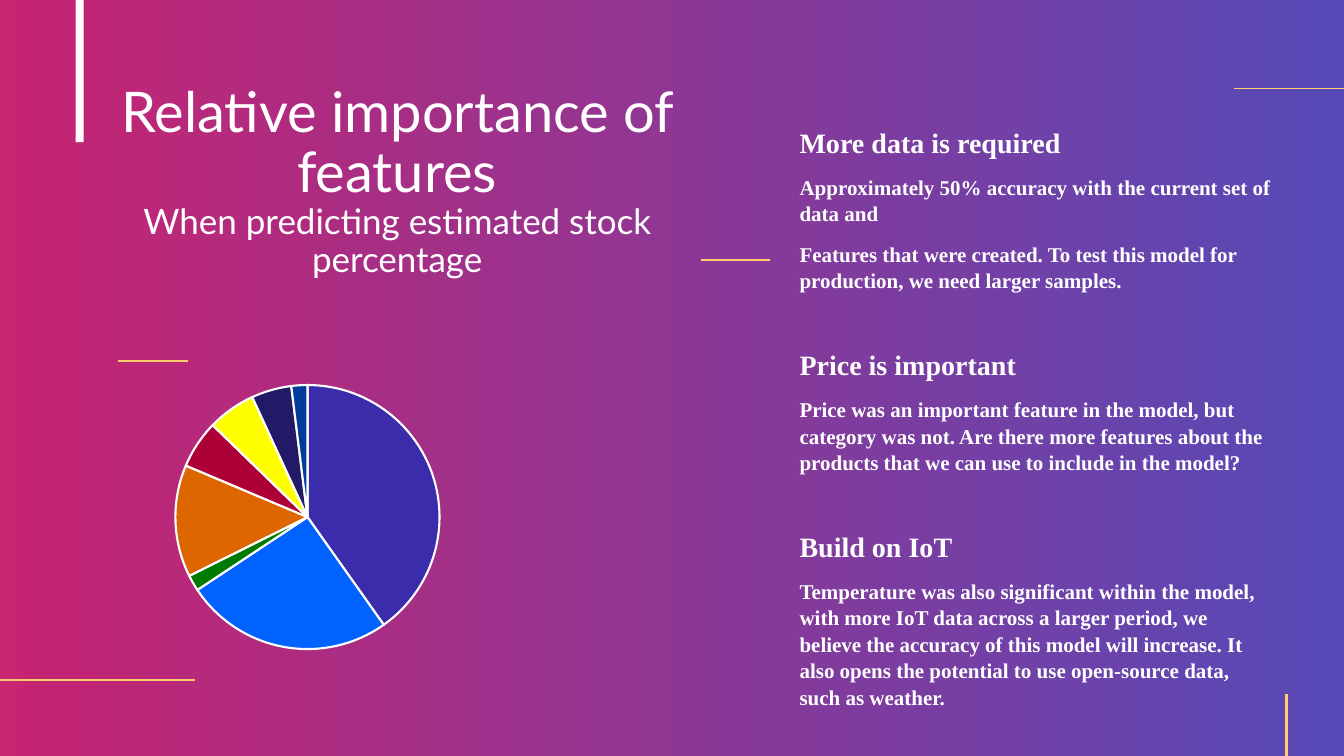
import lxml.etree
import pptx
import pptx.chart.data
import pptx.dml.color
import pptx.enum.chart
import pptx.enum.shapes
import pptx.enum.text
import pptx.oxml.ns
import pptx.util
from dataclasses import dataclass

Inches = pptx.util.Inches
Pt = pptx.util.Pt
qn = pptx.oxml.ns.qn

HEADLINE = "Relative importance of features"
SUBHEADING = "When predicting estimated stock percentage"
FINDINGS = [
    ("More data is required", [
        "Approximately 50% accuracy with the current set of data and",
        "Features that were created. To test this model for production, "
        "we need larger samples.",
    ]),
    ("Price is important", [
        "Price was an important feature in the model, but category was not. "
        "Are there more features about the products that we can use to "
        "include in the model?",
    ]),
    ("Build on IoT", [
        "Temperature was also significant within the model, with more IoT data "
        "across a larger period, we believe the accuracy of this model will "
        "increase. It also opens the potential to use open-source data, such "
        "as weather.",
    ]),
]
# feature, importance, slice colour
FEATURES = [
    ("1", 41, "3B2CAC"), ("2", 26, "0062FF"), ("3", 2, "007A00"),
    ("4", 14, "DE6600"), ("5", 6, "AC0037"), ("6", 6, "FFFF00"),
    ("7", 5, "231A67"), ("8", 2, "003B99"),
]
# start x, start y, end x, end y, width in points
ACCENT_LINES = [
    (1.17, 3.58, 1.86, 3.58, 1.5),
    (6.95, 2.58, 7.64, 2.58, 1.5),
    (12.24, 0.88, 13.33, 0.88, 0.5),
    (0, 6.75, 1.93, 6.75, 1.5),
    (12.76, 7.5, 12.76, 6.89, 1.5),
]
SLIDE_SIZE = (13.33, 7.5)
CHART_BOX = (0.28, 3.68, 5.54, 2.9)
PIE_DIAMETER = 2.62


@dataclass(frozen=True)
class Theme:
    gradient: tuple = ("BE005A", "3B2CAC")
    gradient_alpha: int = 85
    text: str = "FFFFFF"
    accent: str = "FFCD6B"
    chart_text: str = "000000"
    shadow: str = "000000"
    title_font: str = "Lato"
    body_font: str = "Times New Roman"
    headline_size: int = 40
    subheading_size: int = 25
    finding_size: int = 20
    detail_size: int = 15
    chart_size: int = 10


THEME = Theme()


def rgb(value):
    return pptx.dml.color.RGBColor.from_string(value)


def place(shape, left, top, width, height):
    shape.left, shape.top = Inches(left), Inches(top)
    shape.width, shape.height = Inches(width), Inches(height)


def style_run(run, font, size, bold=False):
    run.font.name, run.font.size, run.font.bold = font, Pt(size), bold
    run.font.color.rgb = rgb(THEME.text)


def add_text_shadow(run):
    effects = lxml.etree.Element(qn("a:effectLst"))
    shadow = lxml.etree.SubElement(
        effects, qn("a:outerShdw"), blurRad="38100", dist="38100",
        dir="2700000", algn="tl")
    color = lxml.etree.SubElement(shadow, qn("a:srgbClr"), val=THEME.shadow)
    lxml.etree.SubElement(color, qn("a:alpha"), val="43000")
    run.font._element.find(qn("a:solidFill")).addnext(effects)


def add_rectangle(slide, *box):
    rectangle = slide.shapes.add_shape(
        pptx.enum.shapes.MSO_SHAPE.RECTANGLE, *map(Inches, box))
    rectangle.shadow.inherit = False
    rectangle.line.fill.background()
    return rectangle


def add_backdrop(slide):
    """Lay the translucent gradient behind the placeholders."""
    backdrop = add_rectangle(slide, 0, 0, *SLIDE_SIZE)
    backdrop.fill.gradient()
    backdrop.fill.gradient_angle = 0
    for stop, color in zip(backdrop.fill.gradient_stops, THEME.gradient):
        stop.color.rgb = rgb(color)
    for color in backdrop._element.iter(qn("a:srgbClr")):
        lxml.etree.SubElement(
            color, qn("a:alpha"), val=str(THEME.gradient_alpha * 1000))
    slide.shapes._spTree.insert(2, backdrop._element)


def add_accents(slide):
    bar = add_rectangle(slide, 0.75, 0, 0.08, 1.41)
    bar.fill.solid()
    bar.fill.fore_color.rgb = rgb(THEME.text)
    for *ends, width in ACCENT_LINES:
        accent = slide.shapes.add_connector(
            pptx.enum.shapes.MSO_CONNECTOR.STRAIGHT, *map(Inches, ends))
        accent.line.color.rgb = rgb(THEME.accent)
        accent.line.width = Pt(width)
        lxml.etree.SubElement(accent._element.spPr, qn("a:effectLst"))


def fill_title(title):
    place(title, 0.82, 1.31, 6.24, 0.99)
    frame = title.text_frame
    frame.text = f"{HEADLINE}\v{SUBHEADING}"
    frame.word_wrap = True
    frame.auto_size = pptx.enum.text.MSO_AUTO_SIZE.NONE
    frame.vertical_anchor = pptx.enum.text.MSO_ANCHOR.MIDDLE
    heading = frame.paragraphs[0]
    heading.alignment = pptx.enum.text.PP_ALIGN.CENTER
    heading.line_spacing = 0.9
    sizes = (THEME.headline_size, THEME.subheading_size)
    for run, size in zip(heading.runs, sizes):
        style_run(run, THEME.title_font, size)
        add_text_shadow(run)


def fill_findings(body):
    place(body, 7.83, 1.23, 4.89, 6.6)
    frame = body.text_frame
    frame.word_wrap = True
    frame.auto_size = pptx.enum.text.MSO_AUTO_SIZE.NONE
    frame.vertical_anchor = pptx.enum.text.MSO_ANCHOR.TOP
    lines = []
    for finding, details in FINDINGS:
        lines.append((finding, THEME.finding_size, 38 if lines else 0))
        lines += [(detail, THEME.detail_size, 10) for detail in details]
    for index, (text, size, space_before) in enumerate(lines):
        paragraph = frame.add_paragraph() if index else frame.paragraphs[0]
        paragraph.text = text
        properties = paragraph._p.get_or_add_pPr()
        properties.set("marL", "0")
        properties.set("indent", "0")
        lxml.etree.SubElement(properties, qn("a:buNone"))
        paragraph.alignment = pptx.enum.text.PP_ALIGN.LEFT
        paragraph.space_before = Pt(space_before)
        paragraph.space_after = Pt(0)
        paragraph.line_spacing = 1.05 if index else 0.9
        style_run(paragraph.runs[0], THEME.body_font, size, bold=True)


def set_pie_area(chart):
    """Center a pie of the wanted diameter in its chart box."""
    width, height = (PIE_DIAMETER / side for side in CHART_BOX[2:])
    plot_area = chart._chartSpace.chart.plotArea
    for old_layout in plot_area.findall(qn("c:layout")):
        plot_area.remove(old_layout)
    layout = lxml.etree.Element(qn("c:layout"))
    manual = lxml.etree.SubElement(layout, qn("c:manualLayout"))
    settings = {
        "layoutTarget": "inner", "xMode": "edge", "yMode": "edge",
        "x": (1 - width) / 2, "y": (1 - height) / 2, "w": width, "h": height,
    }
    for name, value in settings.items():
        lxml.etree.SubElement(manual, qn(f"c:{name}"), val=str(value))
    plot_area.insert(0, layout)


def add_importance_pie(slide):
    names, values, colors = zip(*FEATURES)
    importance = pptx.chart.data.CategoryChartData()
    importance.categories = names
    importance.add_series("Series 1", values)
    chart = slide.shapes.add_chart(
        pptx.enum.chart.XL_CHART_TYPE.PIE, *map(Inches, CHART_BOX),
        importance).chart
    chart.has_title = False
    chart.has_legend = False
    chart.font.name = THEME.title_font
    chart.font.size = Pt(THEME.chart_size)
    chart.font.color.rgb = rgb(THEME.chart_text)
    chart.plots[0].vary_by_categories = True
    for index, color in enumerate(colors):
        feature = chart.plots[0].series[0].points[index].format
        feature.fill.solid()
        feature.fill.fore_color.rgb = rgb(color)
        feature.line.color.rgb = rgb(THEME.text)
        feature.line.width = Pt(1.5)
    set_pie_area(chart)


def main():
    deck = pptx.Presentation()
    deck.slide_width, deck.slide_height = map(Inches, SLIDE_SIZE)
    slide = deck.slides.add_slide(deck.slide_layouts[1])
    add_backdrop(slide)
    add_accents(slide)
    fill_title(slide.shapes.title)
    fill_findings(slide.placeholders[1])
    add_importance_pie(slide)
    deck.save("out.pptx")


if __name__ == "__main__":
    main()
